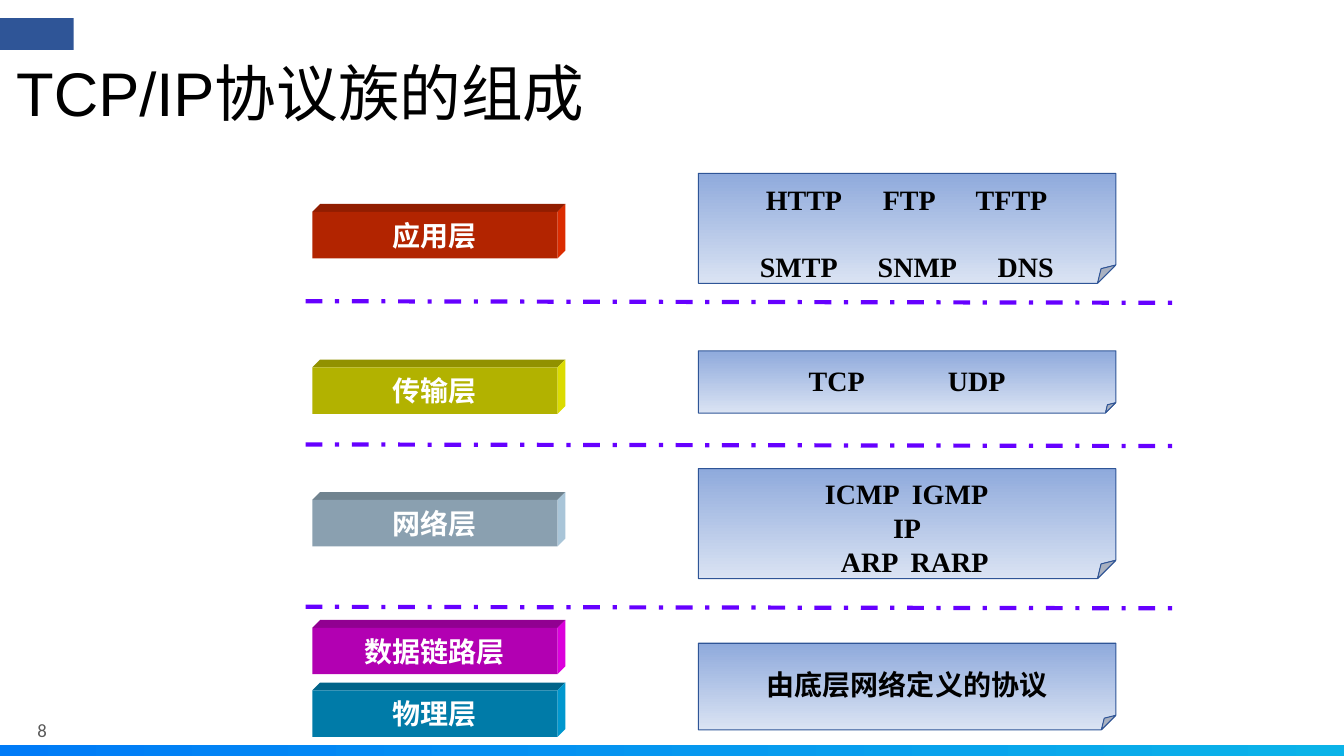
from lxml import etree
from pptx import Presentation
from pptx.dml.color import RGBColor
from pptx.enum.dml import MSO_LINE
from pptx.enum.shapes import MSO_CONNECTOR, MSO_SHAPE
from pptx.enum.text import MSO_ANCHOR, PP_ALIGN
from pptx.oxml.ns import qn
from pptx.util import Cm, Pt

WHITE = RGBColor(0xFF, 0xFF, 0xFF)
BLACK = RGBColor(0, 0, 0)
GREY = RGBColor(0x5A, 0x5A, 0x5A)
NAVY = RGBColor(0x2F, 0x55, 0x97)
NOTE_TOP = RGBColor(0x8F, 0xAA, 0xDC)
NOTE_BOTTOM = RGBColor(0xDA, 0xE3, 0xF3)
FOOTER_LEFT = RGBColor(0x00, 0x7B, 0xF7)
FOOTER_RIGHT = RGBColor(0x0B, 0xB3, 0xE8)
VIOLET = RGBColor(0x66, 0x00, 0xFF)
RED = RGBColor(0xFF, 0x33, 0x00)
YELLOW = RGBColor(0xFF, 0xFF, 0x00)
PALE_BLUE = RGBColor(0xC5, 0xE5, 0xFB)
MAGENTA = RGBColor(0xFF, 0x00, 0xFF)
CYAN = RGBColor(0x00, 0xB0, 0xF0)
CJK_FONT = "Noto Sans CJK SC"


def paint(shape, colors, angle=0):
    """Fill a shape with one colour or a two-colour gradient."""
    shape.shadow.inherit = False
    shape.line.fill.background()
    if len(colors) == 1:
        shape.fill.solid()
        shape.fill.fore_color.rgb = colors[0]
        return
    shape.fill.gradient()
    shape.fill.gradient_angle = angle
    for stop, color in zip(shape.fill.gradient_stops, colors):
        stop.color.rgb = color


def write(shape, text, font, size, color, bold=False, anchor=MSO_ANCHOR.MIDDLE):
    """Put text without insets into a shape and format its runs."""
    frame = shape.text_frame
    frame.text = text
    frame.word_wrap = True
    frame.vertical_anchor = anchor
    frame.margin_left = frame.margin_right = frame.margin_top = frame.margin_bottom = 0
    for para in frame.paragraphs:
        for span in para.runs:
            span.font.name = font
            span.font.size = Pt(size)
            span.font.bold = bold
            span.font.color.rgb = color
            east_asian = etree.SubElement(span.font._element, qn("a:ea"))
            east_asian.set("typeface", CJK_FONT)
    return frame


deck = Presentation()
deck.slide_width, deck.slide_height = Cm(33.87), Cm(19.05)
page = deck.slides.add_slide(deck.slide_layouts[6])
shapes = page.shapes

# Footer band, page number and corner block
footer = shapes.add_shape(MSO_SHAPE.RECTANGLE, 0, Cm(18.77), deck.slide_width, Cm(0.28))
paint(footer, [FOOTER_LEFT, FOOTER_RIGHT])
number = shapes.add_textbox(Cm(0.94), Cm(18.12), Cm(1.88), Cm(0.56))
write(number, "8", "Calibri", 13.4, GREY)
corner = shapes.add_shape(MSO_SHAPE.RECTANGLE, 0, Cm(0.46), Cm(1.86), Cm(0.8))
paint(corner, [NAVY])

# Title
title = shapes.add_textbox(Cm(0.41), Cm(1.55), Cm(24.33), Cm(1.78))
write(title, "TCP/IP协议族的组成", "Arial", 44, BLACK).paragraphs[0].line_spacing = 0.9

# Layer blocks: a front face with darker top and lighter side
LEFT, WIDTH, HEIGHT, DEPTH = Cm(7.87), Cm(6.18), Cm(1.17), Cm(0.2)
RIGHT = LEFT + WIDTH
layers = [
    ("应用层", 5.34, RED),
    ("传输层", 9.26, YELLOW),
    ("网络层", 12.6, PALE_BLUE),
    ("数据链路层", 15.82, MAGENTA),
    ("物理层", 17.4, CYAN),
]
for name, top_cm, color in layers:
    top = Cm(top_cm)
    bottom, back = top + HEIGHT, top - DEPTH
    front_color, top_color, side_color = (
        RGBColor(*(round(channel * shade) for channel in color))
        for shade in (0.7, 0.57, 0.86)
    )
    faces = [
        (top_color, [(LEFT, top), (LEFT + DEPTH, back), (RIGHT + DEPTH, back), (RIGHT, top)]),
        (side_color, [(RIGHT, top), (RIGHT + DEPTH, back),
                      (RIGHT + DEPTH, bottom - DEPTH), (RIGHT, bottom)]),
    ]
    for face_color, points in faces:
        outline = shapes.build_freeform(*points[0])
        outline.add_line_segments(points[1:])
        paint(outline.convert_to_shape(), [face_color])
    front = shapes.add_shape(MSO_SHAPE.RECTANGLE, LEFT, top, WIDTH, HEIGHT)
    paint(front, [front_color])
    frame = write(front, name, CJK_FONT, 20, WHITE, bold=True)
    frame.paragraphs[0].alignment = PP_ALIGN.CENTER

# Dividers between the layers
for top_cm in (7.59, 11.2, 15.29):
    divider = shapes.add_connector(
        MSO_CONNECTOR.STRAIGHT, Cm(7.7), Cm(top_cm), Cm(29.85), Cm(top_cm + 0.04))
    divider.line.color.rgb = VIOLET
    divider.line.width = Pt(3)
    divider.line.dash_style = MSO_LINE.DASH_DOT
    etree.SubElement(divider._element.spPr, qn("a:effectLst"))

# Protocol notes: top, height, text inset, space between rows, rows with tab stops
notes = [
    (4.37, 2.77, 0.22, 24, [("\tHTTP\tFTP\tTFTP", (1.7, 4.65, 6.99)),
                            ("\tSMTP\tSNMP\tDNS", (1.55, 4.52, 7.54))]),
    (8.84, 1.57, 0.31, 0, [("\tTCP\tUDP", (2.78, 6.29))]),
    (11.81, 2.77, 0.21, 0, [("\tICMP\tIGMP", (3.19, 5.38)),
                            ("IP", ()),
                            ("\tARP\tRARP", (3.59, 5.35))]),
    (16.21, 2.18, 0.6, 0, [("由底层网络定义的协议", ())]),
]
for top_cm, height_cm, inset_cm, gap, rows in notes:
    note = shapes.add_shape(
        MSO_SHAPE.FOLDED_CORNER, Cm(17.6), Cm(top_cm), Cm(10.52), Cm(height_cm))
    paint(note, [NOTE_TOP, NOTE_BOTTOM], angle=270)
    note.line.color.rgb = NAVY
    note.line.width = Pt(0.75)
    text = "\n".join(row for row, stops in rows)
    frame = write(note, text, "Times New Roman", 20, BLACK, True, MSO_ANCHOR.TOP)
    frame.margin_top = Cm(inset_cm)
    for index, (para, (row, stops)) in enumerate(zip(frame.paragraphs, rows)):
        if stops:
            tab_list = etree.SubElement(para._p.get_or_add_pPr(), qn("a:tabLst"))
            for stop in stops:
                etree.SubElement(tab_list, qn("a:tab"), pos=str(Cm(stop)), algn="l")
        para.alignment = PP_ALIGN.LEFT if stops else PP_ALIGN.CENTER
        para.line_spacing = Pt(24)
        if index:
            para.space_before = Pt(gap)

deck.save("out.pptx")
